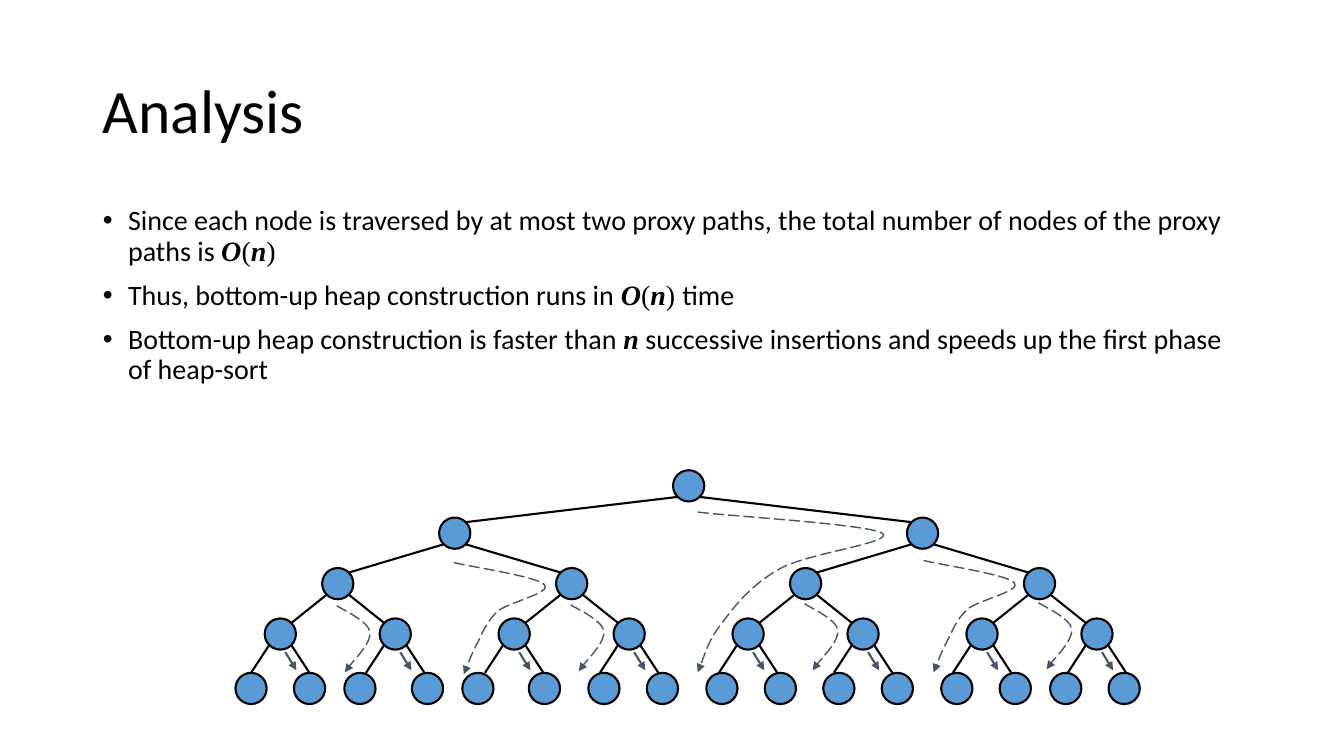
from dataclasses import dataclass

from lxml.etree import SubElement
from pptx import Presentation
from pptx.dml.color import RGBColor
from pptx.enum.dml import MSO_LINE
from pptx.enum.shapes import MSO_CONNECTOR, MSO_SHAPE
from pptx.enum.text import MSO_ANCHOR, MSO_AUTO_SIZE, PP_ALIGN
from pptx.oxml.ns import qn
from pptx.util import Inches, Pt


@dataclass(frozen=True)
class Theme:
    ink: RGBColor = RGBColor(0x00, 0x00, 0x00)
    node: RGBColor = RGBColor(0x5B, 0x9B, 0xD5)
    proxy: RGBColor = RGBColor(0x44, 0x54, 0x6A)
    font: str = "Calibri"
    math_font: str = "Times New Roman"
    title_size: float = 44
    body_size: float = 20
    line: float = 1.5
    path_line: float = 1


THEME = Theme()
COLUMNS, ROWS = 13.33, 7.5
CELL = Inches(1)

TEXT, SYMBOL, VARIABLE = "text", "symbol", "variable"
BULLETS = [
    [("Since each node is traversed by at most two proxy paths, the total number "
      "of nodes of the proxy paths is ", TEXT),
     ("O", VARIABLE), ("(", SYMBOL), ("n", VARIABLE), (")", SYMBOL)],
    [("Thus, bottom-up heap construction runs in ", TEXT),
     ("O", VARIABLE), ("(", SYMBOL), ("n", VARIABLE), (") ", SYMBOL), ("time", TEXT)],
    [("Bottom-up heap construction is faster than ", TEXT), ("n", VARIABLE),
     (" successive insertions and speeds up the first phase of heap-sort", TEXT)],
]

RADIUS = 0.155
RIM = 0.11
ROOT_X = 6.83
BRANCH_SPREADS = [2.32, 1.16, 0.57]
LEAF_SPREAD = 0.29
BRANCH_ROWS = [4.82, 5.29, 5.79, 6.29]
LEAF_ROW = 6.83
LEAF_COLUMNS = [2.49, 3.07, 3.57, 4.24, 4.74, 5.4, 5.99, 6.57,
                7.16, 7.74, 8.32, 8.9, 9.49, 10.07, 10.57, 11.15]

ROOT_PATH = [(0.3, 0.04), (1.69, 0.12), (1.83, 0.21),
             (1.97, 0.3), (1.08, 0.41), (0.82, 0.56),
             (0.56, 0.7), (0.38, 0.91), (0.25, 1.09),
             (0.11, 1.26), (0.05, 1.48), (0, 1.59)]
MIDDLE_PATH = [(0.15, 0.04), (0.83, 0.14), (0.9, 0.22),
               (0.98, 0.3), (0.56, 0.39), (0.44, 0.48),
               (0.33, 0.58), (0.29, 0.69), (0.24, 0.79),
               (0.18, 0.9), (0.13, 1.04), (0.1, 1.11)]
LOW_PATH = [(0.06, 0.04), (0.31, 0.15), (0.33, 0.26),
            (0.34, 0.37), (0.13, 0.58), (0.08, 0.66)]
PROXY_PATHS = [(6.92, 5.08, ROOT_PATH), (9.16, 5.56, MIDDLE_PATH), (4.5, 5.58, MIDDLE_PATH)]
PROXY_PATHS += [(3.34 + 2.32 * i, 6.01 - 0.01 * i, LOW_PATH) for i in range(4)]


def cells(*counts):
    """Turn counts of grid cells into lengths."""
    return [round(n * CELL) for n in counts]


def place(sp, *box):
    """Put a placeholder on the grid."""
    sp.left, sp.top, sp.width, sp.height = cells(*box)


def style_run(r, size, kind=TEXT):
    """Give a run its type style."""
    r.font.name = THEME.font if kind == TEXT else THEME.math_font
    r.font.size = Pt(size)
    r.font.bold = r.font.italic = kind == VARIABLE
    r.font.color.rgb = THEME.ink


def fill_title(sp, text):
    """Write the slide title."""
    place(sp, 0.92, 0.4, 11.5, 1.45)
    tf = sp.text_frame
    tf.text = text
    tf.vertical_anchor = MSO_ANCHOR.MIDDLE
    tf.auto_size = MSO_AUTO_SIZE.NONE
    p = tf.paragraphs[0]
    p.alignment = PP_ALIGN.LEFT
    p.line_spacing = 0.9
    style_run(p.runs[0], THEME.title_size)


def fill_bullets(sp, bullets):
    """Write the bulleted list with its formulas."""
    place(sp, 0.92, 2, 11.5, 4.76)
    tf = sp.text_frame
    tf.auto_size = MSO_AUTO_SIZE.NONE
    for i, parts in enumerate(bullets):
        p = tf.add_paragraph() if i else tf.paragraphs[0]
        pPr = p._p.get_or_add_pPr()
        pPr.set("marL", str(Inches(0.25)))
        pPr.set("indent", str(-Inches(0.25)))
        SubElement(pPr, qn("a:buFont")).set("typeface", "Arial")
        SubElement(pPr, qn("a:buChar")).set("char", "•")
        p.line_spacing = 0.9
        p.space_before = Pt(10 if i else 0)
        for text, kind in parts:
            r = p.add_run()
            r.text = text
            style_run(r, THEME.body_size, kind)


def style_line(sp, color, width, arrow=False):
    """Style an outline, dashed with an arrowhead if it is an arrow."""
    sp.line.color.rgb = color
    sp.line.width = Pt(width)
    if arrow:
        sp.line.dash_style = MSO_LINE.LONG_DASH
        SubElement(sp.element.spPr.find(qn("a:ln")), qn("a:tailEnd")).set("type", "triangle")


def add_line(slide, start, end, color, arrow=False):
    """Draw a straight tree edge or arrow."""
    line = slide.shapes.add_connector(MSO_CONNECTOR.STRAIGHT, *cells(*start, *end))
    style_line(line, color, THEME.line, arrow)
    SubElement(line.element.spPr, qn("a:effectLst"))


def add_node(slide, x, y):
    """Draw a tree node around its centre."""
    box = cells(x - RADIUS, y - RADIUS, 2 * RADIUS, 2 * RADIUS)
    sp = slide.shapes.add_shape(MSO_SHAPE.OVAL, *box)
    sp.shadow.inherit = False
    sp.fill.solid()
    sp.fill.fore_color.rgb = THEME.node
    style_line(sp, THEME.ink, THEME.line)


def add_proxy_path(slide, x, y, steps):
    """Draw a curved proxy path, three steps to each Bézier segment."""
    builder = slide.shapes.build_freeform(*cells(x, y))
    builder.add_line_segments([cells(x + dx, y + dy) for dx, dy in steps], close=False)
    sp = builder.convert_to_shape()
    path = sp.element.find(".//" + qn("a:path"))
    segments = path.findall(qn("a:lnTo"))
    for i in range(0, len(segments), 3):
        curve = SubElement(path, qn("a:cubicBezTo"))
        for segment in segments[i:i + 3]:
            curve.append(segment[0])
            path.remove(segment)
    sp.shadow.inherit = False
    sp.fill.background()
    style_line(sp, THEME.proxy, THEME.path_line, arrow=True)


def branch_levels():
    """Return the node columns of every level above the leaves."""
    levels = [[ROOT_X]]
    for spread in BRANCH_SPREADS:
        levels.append([x + side * spread for x in levels[-1] for side in (-1, 1)])
    return levels


def add_tree(slide):
    """Draw the heap with its proxy paths."""
    levels = branch_levels()
    spreads = [spread - RIM for spread in BRANCH_SPREADS] + [LEAF_SPREAD]
    end_rows = [y - RIM for y in BRANCH_ROWS[1:]] + [LEAF_ROW - RADIUS]
    for xs, y, spread, end_y in zip(levels, BRANCH_ROWS, spreads, end_rows):
        for x in xs:
            for side in (-1, 1):
                add_line(slide, (x + side * RIM, y + RIM), (x + side * spread, end_y), THEME.ink)
    for xs, y in zip(levels, BRANCH_ROWS):
        for x in xs:
            add_node(slide, x, y)
    for x, y, steps in PROXY_PATHS:
        add_proxy_path(slide, x, y, steps)
    for x in levels[-1]:
        add_line(slide, (x + 0.05, 6.47), (x + 0.16, 6.65), THEME.proxy, arrow=True)
    for x in LEAF_COLUMNS:
        add_node(slide, x, LEAF_ROW)


def main():
    """Build the slide and save it."""
    prs = Presentation()
    prs.slide_width, prs.slide_height = cells(COLUMNS, ROWS)
    slide = prs.slides.add_slide(prs.slide_layouts[1])
    fill_title(slide.shapes.title, "Analysis")
    fill_bullets(slide.placeholders[1], BULLETS)
    add_tree(slide)
    prs.save("out.pptx")


if __name__ == "__main__":
    main()
